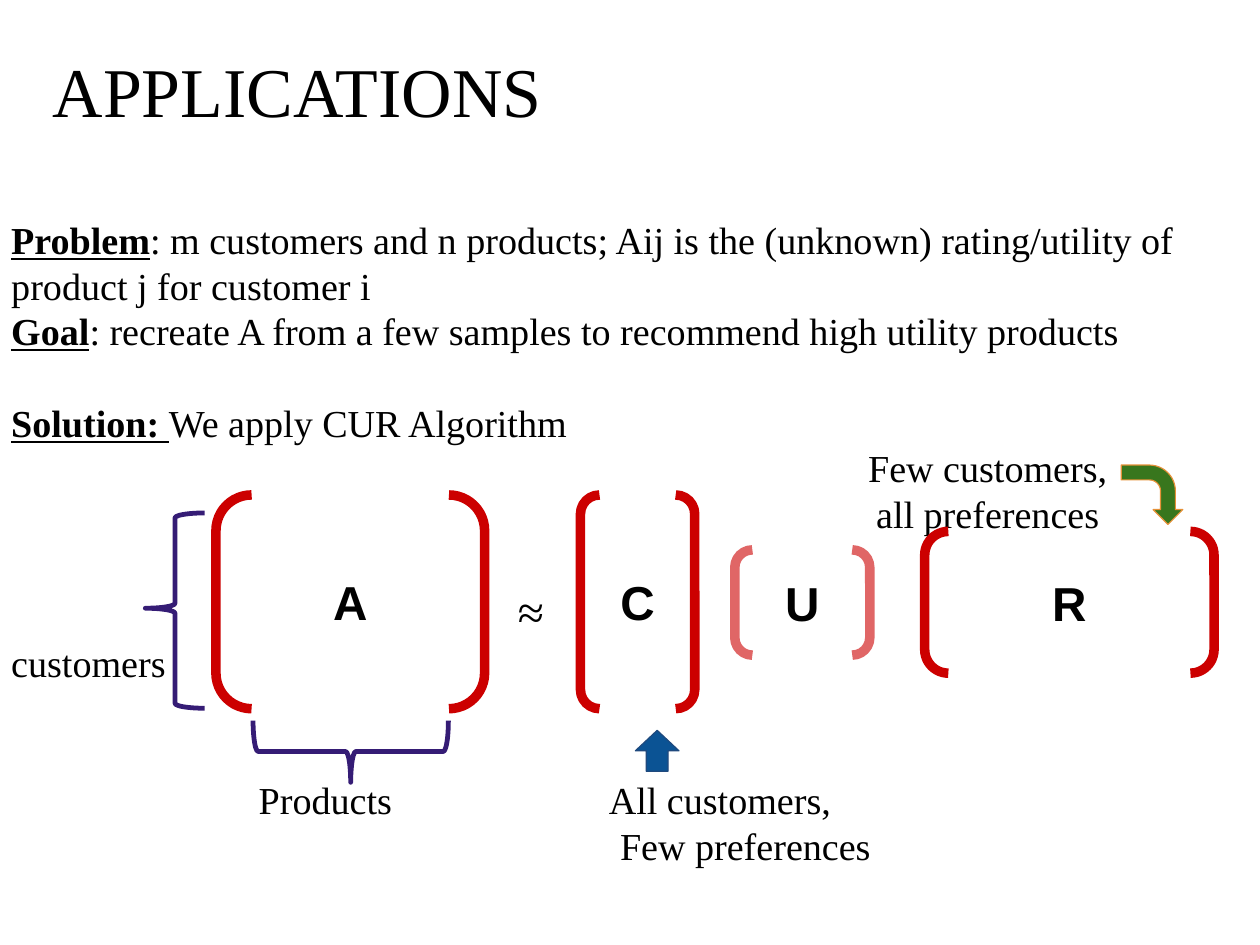
from pptx import Presentation
from pptx.dml.color import RGBColor
from pptx.enum.shapes import MSO_SHAPE
from pptx.enum.text import MSO_ANCHOR, PP_ALIGN
from pptx.util import Cm, Pt

SERIF, SANS = "Times New Roman", "Arial"
BLACK, RED, PINK, PURPLE = "000000", "CC0000", "E06666", "351C75"
LINE_PITCH = 28.8


def color(code):
    return RGBColor.from_string(code)


class SlideBuilder:
    def __init__(self, page):
        self.page = page

    def add_span(self, para, text, size, font=SERIF, strong=False, underline=False):
        span = para.add_run()
        span.text = text
        span.font.name = font
        span.font.size = Pt(size)
        span.font.bold = strong
        span.font.underline = underline
        span.font.color.rgb = color(BLACK)

    def text(self, left, top, width, height, paragraphs, size=24,
             align=PP_ALIGN.LEFT, pitch=LINE_PITCH):
        """Each paragraph is (heading, text, space before in points)."""
        box = self.page.shapes.add_textbox(Cm(left), Cm(top), Cm(width), Cm(height))
        frame = box.text_frame
        frame.word_wrap = True
        frame.margin_left = frame.margin_right = 0
        frame.margin_top = frame.margin_bottom = 0
        for number, (heading, text, gap) in enumerate(paragraphs):
            para = frame.add_paragraph() if number else frame.paragraphs[0]
            para.alignment = align
            para.space_before = Pt(gap)
            if pitch:
                para.line_spacing = Pt(pitch)
            if heading:
                self.add_span(para, heading, size, strong=True, underline=True)
            self.add_span(para, text, size)

    def label(self, left, top, width, text):
        self.text(left, top, width, 1.05, [("", text, 0)])

    def shape(self, kind, left, top, width, height, line, weight,
              fill=None, adjustments=(), rotation=0):
        shape = self.page.shapes.add_shape(
            kind, Cm(left), Cm(top), Cm(width), Cm(height))
        shape.shadow.inherit = False
        shape.rotation = rotation
        for number, value in enumerate(adjustments):
            shape.adjustments[number] = value
        if fill:
            shape.fill.solid()
            shape.fill.fore_color.rgb = color(fill)
        else:
            shape.fill.background()
        shape.line.color.rgb = color(line)
        shape.line.width = Pt(weight)
        return shape

    def matrix(self, name, left, top, width, height, line=RED):
        shape = self.shape(MSO_SHAPE.DOUBLE_BRACKET, left, top, width, height, line, 6)
        frame = shape.text_frame
        frame.vertical_anchor = MSO_ANCHOR.MIDDLE
        para = frame.paragraphs[0]
        para.alignment = PP_ALIGN.CENTER
        self.add_span(para, name, 30, font=SANS, strong=True)

    def brace(self, left, top, width, height, middle, rotation=0):
        self.shape(MSO_SHAPE.LEFT_BRACE, left, top, width, height, PURPLE, 3,
                   adjustments=(0.083, middle), rotation=rotation)


def main():
    deck = Presentation()
    deck.slide_width, deck.slide_height = Cm(28), Cm(21)
    page = deck.slides.add_slide(deck.slide_layouts[6])
    builder = SlideBuilder(page)

    builder.text(1.17, 1.07, 21.7, 2, [("", "APPLICATIONS", 0)], size=44, pitch=None)
    builder.text(0.25, 4.81, 26.7, 5.1, [
        ("Problem", ": m customers and n products; Aij is the (unknown) "
                    "rating/utility of product j for customer i", 0),
        ("Goal", ": recreate A from a few samples to recommend "
                 "high utility products", 0),
        ("Solution: ", "We apply CUR Algorithm", LINE_PITCH),
    ])
    builder.text(18.95, 9.88, 6, 2.05, [
        ("", "Few customers,", 0), ("", "all preferences", 0),
    ], align=PP_ALIGN.CENTER)
    builder.text(11.3, 12.93, 1, 1.3, [("", "≈", 0)], size=30,
                 align=PP_ALIGN.CENTER, pitch=None)
    builder.label(0.25, 14.21, 4, "customers")
    builder.label(5.75, 17.25, 4, "Products")
    builder.label(13.53, 17.25, 6, "All customers,")
    builder.label(13.78, 18.27, 7, "Few preferences")

    builder.matrix("A", 4.8, 11, 5.97, 4.75)
    builder.matrix("C", 12.9, 11, 2.54, 4.75)
    builder.matrix("U", 16.33, 12.22, 3, 2.34, PINK)
    builder.matrix("R", 20.55, 11.81, 6.43, 3.15)

    builder.brace(3.23, 11.4, 1.32, 4.34, 0.488)
    builder.brace(7.11, 14.53, 1.37, 4.34, 0.5, rotation=270)

    builder.shape(MSO_SHAPE.BENT_ARROW, 24.94, 10.31, 1.32, 1.37, "E69138", 0.75,
                  fill="38761D", adjustments=(0.25, 0.25, 0.25, 0.438), rotation=90)
    builder.shape(MSO_SHAPE.UP_ARROW, 14.12, 16.23, 0.97, 0.91, "1F497D", 0.75,
                  fill="0B5394", adjustments=(0.5, 0.5))

    deck.save("out.pptx")


if __name__ == "__main__":
    main()
